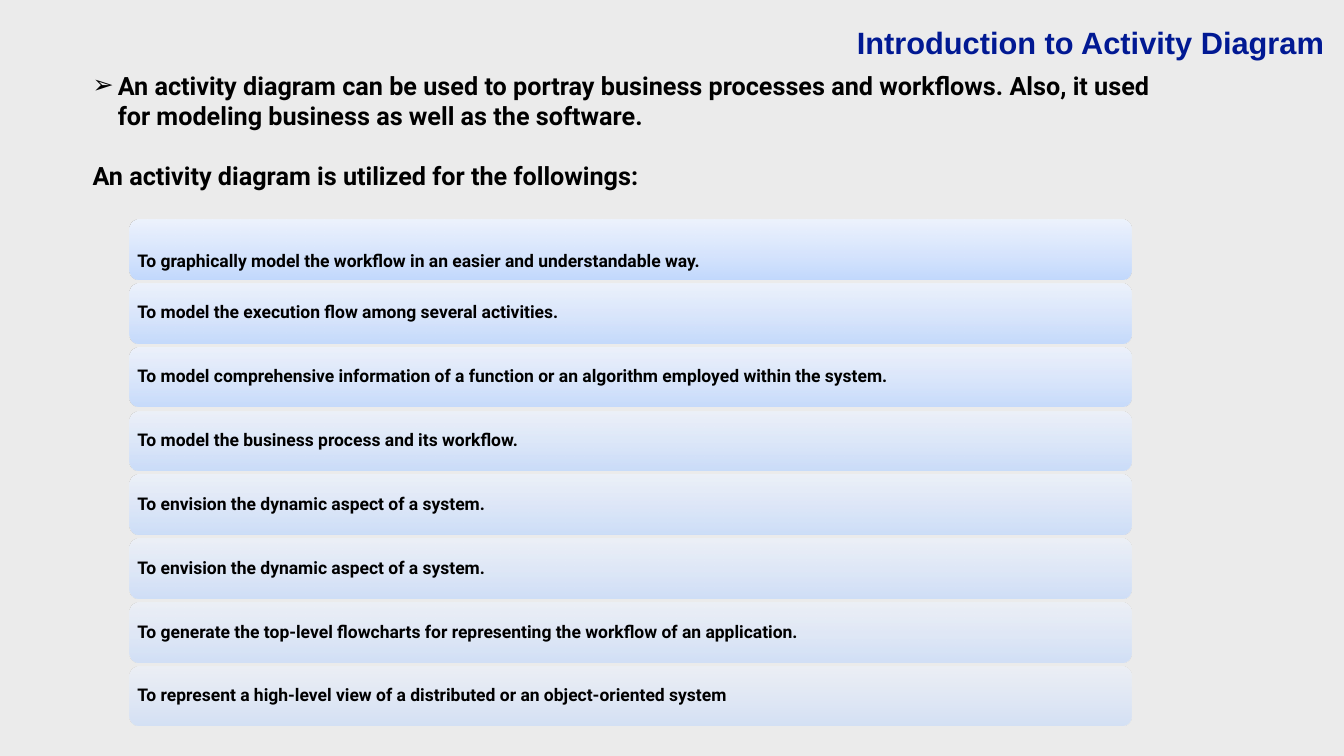
from lxml.etree import SubElement as Sub
from pptx import Presentation
from pptx.dml.color import RGBColor as RGB
from pptx.enum.shapes import MSO_SHAPE as Shape
from pptx.enum.text import MSO_ANCHOR as Anchor, PP_ALIGN as Align
from pptx.oxml.ns import qn
from pptx.util import Inches, Pt

WIDE, HIGH = Inches(26.67), Inches(15)
BACK = RGB(0xEB, 0xEB, 0xEB)
NAVY = RGB(0x01, 0x19, 0x93)
BLACK = RGB(0, 0, 0)
SHADES = (
    (0, RGB(0xBD, 0xD7, 0xFF)),
    (35, RGB(0xD1, 0xE2, 0xFF)),
    (100, RGB(0xEE, 0xF4, 0xFF)),
)

HEAD = {"name": "Arial", "size": Pt(44), "bold": True}
BODY = {"name": "Roboto", "size": Pt(36), "bold": True}
ITEM = {"name": "Roboto", "size": Pt(25), "bold": True}

# Bars: left, top, width, height and row step in percent of the slide
LEFT, TOP, WIDTH, HEIGHT, STEP = 9.64, 29.07, 74.58, 7.87, 8.44
USES = (
    "To graphically model the workflow in an easier and understandable way.",
    "To model the execution flow among several activities.",
    "To model comprehensive information of a function or an algorithm "
    "employed within the system.",
    "To model the business process and its workflow.",
    "To envision the dynamic aspect of a system.",
    "To envision the dynamic aspect of a system.",
    "To generate the top-level flowcharts for representing the workflow "
    "of an application.",
    "To represent a high-level view of a distributed or an object-oriented system",
)


def place(x, y, w, h):
    """Turn percent of the slide into lengths."""
    return [int(part * side / 100)
            for part, side in zip((x, y, w, h), (WIDE, HIGH) * 2)]


def style(item, values):
    for key, value in values.items():
        setattr(item, key, value)


def write(para, text, font, color=BLACK, **form):
    run = para.add_run()
    run.text = text
    style(run.font, font)
    run.font.color.rgb = color
    style(para, form)


def add_box(slide, area, **frame):
    text = slide.shapes.add_textbox(*place(*area)).text_frame
    style(text, {"word_wrap": True, **frame})
    return text


def set_bullet(para, mark, indent):
    props = para._p.get_or_add_pPr()
    props.set("marL", str(indent))
    props.set("indent", str(-indent))
    Sub(props, qn("a:buFont"), typeface="Arial")
    Sub(props, qn("a:buChar"), char=mark)


def shade(shape, alpha):
    """Fill from bottom to top with see-through blues."""
    shape.fill.gradient()
    grad = shape._element.spPr.find(qn("a:gradFill"))
    for child in list(grad):
        grad.remove(child)
    stops = Sub(grad, qn("a:gsLst"))
    for spot, color in SHADES:
        stop = Sub(stops, qn("a:gs"), pos=str(spot * 1000))
        tint = Sub(stop, qn("a:srgbClr"), val=str(color))
        Sub(tint, qn("a:alpha"), val=str(alpha * 1000))
    Sub(grad, qn("a:lin"), ang="16200000", scaled="0")


def add_bar(slide, row, text):
    area = place(LEFT, TOP + row * STEP, WIDTH, HEIGHT)
    bar = slide.shapes.add_shape(Shape.ROUNDED_RECTANGLE, *area)
    bar.shadow.inherit = False
    bar.line.fill.background()
    shade(bar, round(90 - 40 * row / (len(USES) - 1)))
    # The first bar holds its text lower than the others
    head = Inches(0.1 if row else 0.6)
    style(bar.text_frame, {"word_wrap": True, "vertical_anchor": Anchor.MIDDLE,
                           "margin_top": head, "margin_bottom": Inches(0.1)})
    write(bar.text_frame.paragraphs[0], text, ITEM,
          alignment=Align.LEFT, line_spacing=0.9)


def add_title(slide):
    pad = Inches(0.06)
    text = add_box(slide, (36.48, 2.73, 62.32, 10.6), margin_left=pad,
                   margin_right=pad, margin_top=pad, margin_bottom=pad)
    write(text.paragraphs[0], "Introduction to Activity Diagram", HEAD, NAVY,
          alignment=Align.RIGHT)


def add_intro(slide):
    text = add_box(slide, (6.52, 8.93, 79.49, 16.8))
    lead = text.paragraphs[0]
    write(lead, "An activity diagram can be used to portray business processes "
          "and workflows. Also, it used for modeling business as well as "
          "the software.", BODY)
    set_bullet(lead, "➢", Inches(0.5))
    write(text.add_paragraph(),
          "An activity diagram is utilized for the followings:", BODY,
          alignment=Align.JUSTIFY, space_before=Pt(43))


def main():
    deck = Presentation()
    style(deck, {"slide_width": WIDE, "slide_height": HIGH})
    slide = deck.slides.add_slide(deck.slide_layouts[6])
    fill = slide.background.fill
    fill.solid()
    fill.fore_color.rgb = BACK
    add_title(slide)
    add_intro(slide)
    for row, text in enumerate(USES):
        add_bar(slide, row, text)
    deck.save("out.pptx")


if __name__ == "__main__":
    main()
